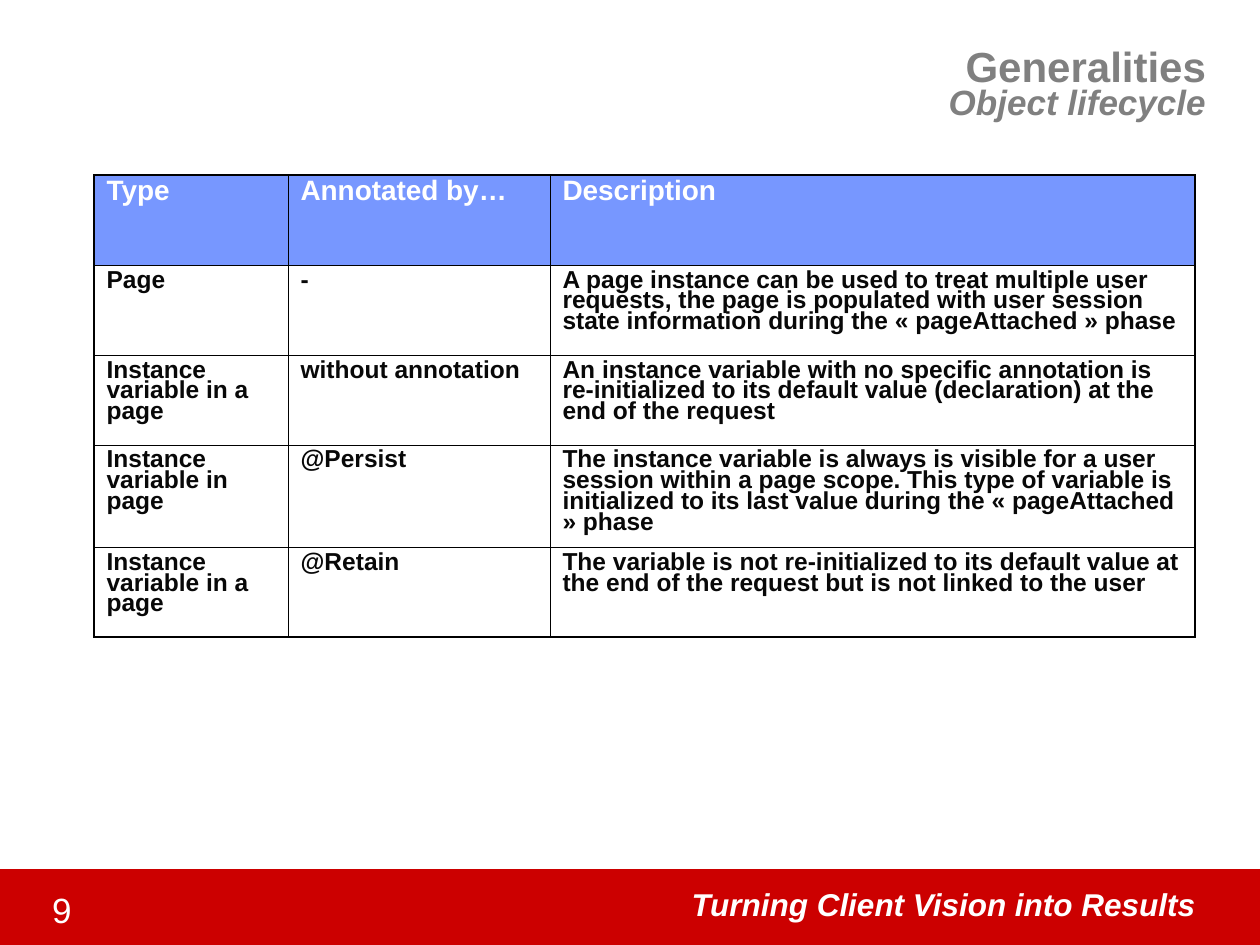
from lxml import etree
from pptx import Presentation
from pptx import util as u
from pptx.dml.color import RGBColor
from pptx.enum import shapes, text
from pptx.oxml import ns

HEADERS = ["Type", "Annotated by…", "Description"]
LIFECYCLES = [
    ["Page", "-",
     "A page instance can be used to treat multiple user requests, the page is populated "
     "with user session state information during the « pageAttached » phase"],
    ["Instance variable in a page", "without annotation",
     "An instance variable with no specific annotation is re-initialized to its default "
     "value (declaration) at the end of the request"],
    ["Instance variable in page", "@Persist",
     "The instance variable is always is visible for a user session within a page scope. "
     "This type of variable is initialized to its last value during the « pageAttached » phase"],
    ["Instance variable in a page", "@Retain",
     "The variable is not re-initialized to its default value at the end of the request "
     "but is not linked to the user"],
]
COLUMN_WIDTHS = [194, 262, 645]
ROW_HEIGHTS = [90, 90, 90, 102, 90]


def px(length):
    """Turn slide pixels into EMU."""
    return u.Emu(round(length * 914400 / 126))


def color(value):
    """Turn a hex string into a colour."""
    return RGBColor.from_string(value)


def format_run(run, size, value, bold=True, italic=False):
    """Set the font of one run."""
    run.font.name = "Arial"
    run.font.size = u.Pt(size)
    run.font.color.rgb = color(value)
    run.font.bold = bold
    run.font.italic = italic


def add_title(slide, left, top, width, height):
    """Place the right-aligned title with its italic second line."""
    title = slide.shapes.title
    title.left, title.top, title.width, title.height = map(px, (left, top, width, height))
    frame = title.text_frame
    frame.text = "Generalities\vObject lifecycle"
    frame.word_wrap = True
    frame.auto_size = text.MSO_AUTO_SIZE.NONE
    frame.vertical_anchor = text.MSO_ANCHOR.MIDDLE
    frame.margin_left = frame.margin_top = frame.margin_right = frame.margin_bottom = 0
    paragraph = frame.paragraphs[0]
    paragraph.alignment = text.PP_ALIGN.RIGHT
    paragraph.line_spacing = 0.76
    paragraph.space_before = u.Pt(0)
    heading, subheading = paragraph.runs
    format_run(heading, 24, "808080")
    format_run(subheading, 20, "808080", italic=True)


def add_border(cell, side, width):
    """Draw one black border of a cell."""
    line = etree.SubElement(cell._tc.get_or_add_tcPr(), ns.qn(f"a:ln{side}"), w=str(u.Pt(width)))
    fill = etree.SubElement(line, ns.qn("a:solidFill"))
    etree.SubElement(fill, ns.qn("a:srgbClr"), val="000000")


def add_lifecycle_table(slide, left, top):
    """Place the table with a thick outer frame and thin inner lines."""
    rows = [HEADERS] + LIFECYCLES
    last_row, last_column = len(rows) - 1, len(HEADERS) - 1
    table = slide.shapes.add_table(
        len(rows), len(HEADERS), px(left), px(top),
        px(sum(COLUMN_WIDTHS)), px(sum(ROW_HEIGHTS))).table
    table.first_row = table.horz_banding = False
    for column, width in zip(table.columns, COLUMN_WIDTHS):
        column.width = px(width)
    for row, height in zip(table.rows, ROW_HEIGHTS):
        row.height = px(height)
    for row_index, row in enumerate(rows):
        for column_index, wording in enumerate(row):
            cell = table.cell(row_index, column_index)
            outer = {"L": column_index == 0, "R": column_index == last_column,
                     "T": row_index == 0, "B": row_index == last_row}
            for side, is_outer in outer.items():
                add_border(cell, side, 1.08 if is_outer else 0.45)
            is_header = row_index == 0
            if is_header:
                cell.fill.solid()
                cell.fill.fore_color.rgb = color("7797FF")
            else:
                cell.fill.background()
            cell.text_frame.text = wording
            paragraph = cell.text_frame.paragraphs[0]
            paragraph.line_spacing = 0.76
            paragraph.space_after = u.Pt(4 if is_header else 3.5)
            format_run(paragraph.runs[0], 16 if is_header else 14,
                       "FFFFFF" if is_header else "080808")


def add_footer_text(slide, wording, left, top, width, height, size, emphasis):
    """Place one right-aligned white text of the footer."""
    frame = slide.shapes.add_textbox(*map(px, (left, top, width, height))).text_frame
    frame.word_wrap = True
    frame.text = wording
    paragraph = frame.paragraphs[0]
    paragraph.alignment = text.PP_ALIGN.RIGHT
    paragraph.line_spacing = 0.93
    format_run(paragraph.runs[0], size, "FFFFFF", emphasis, emphasis)


def add_footer(slide, left, top, width, height):
    """Place the red band with the slogan and the page number."""
    band = slide.shapes.add_shape(
        shapes.MSO_SHAPE.RECTANGLE, *map(px, (left, top, width, height)))
    band.shadow.inherit = False
    band.fill.solid()
    band.fill.fore_color.rgb = color("CC0000")
    band.line.fill.background()
    add_footer_text(slide, "Turning Client Vision into Results",
                    left + 651, top + 13, 557, 63, 18, True)
    add_footer_text(slide, "9", left - 10, top + 17, 94, 80, 20, False)


def main():
    """Build and save the slide."""
    presentation = Presentation()
    presentation.slide_width, presentation.slide_height = px(1260), px(945)
    slide = presentation.slides.add_slide(presentation.slide_layouts.get_by_name("Title Only"))
    add_footer(slide, 0, 869, 1260, 84)
    add_title(slide, 388, 0, 818, 174)
    add_lifecycle_table(slide, 94, 175)
    presentation.save("out.pptx")


if __name__ == "__main__":
    main()
